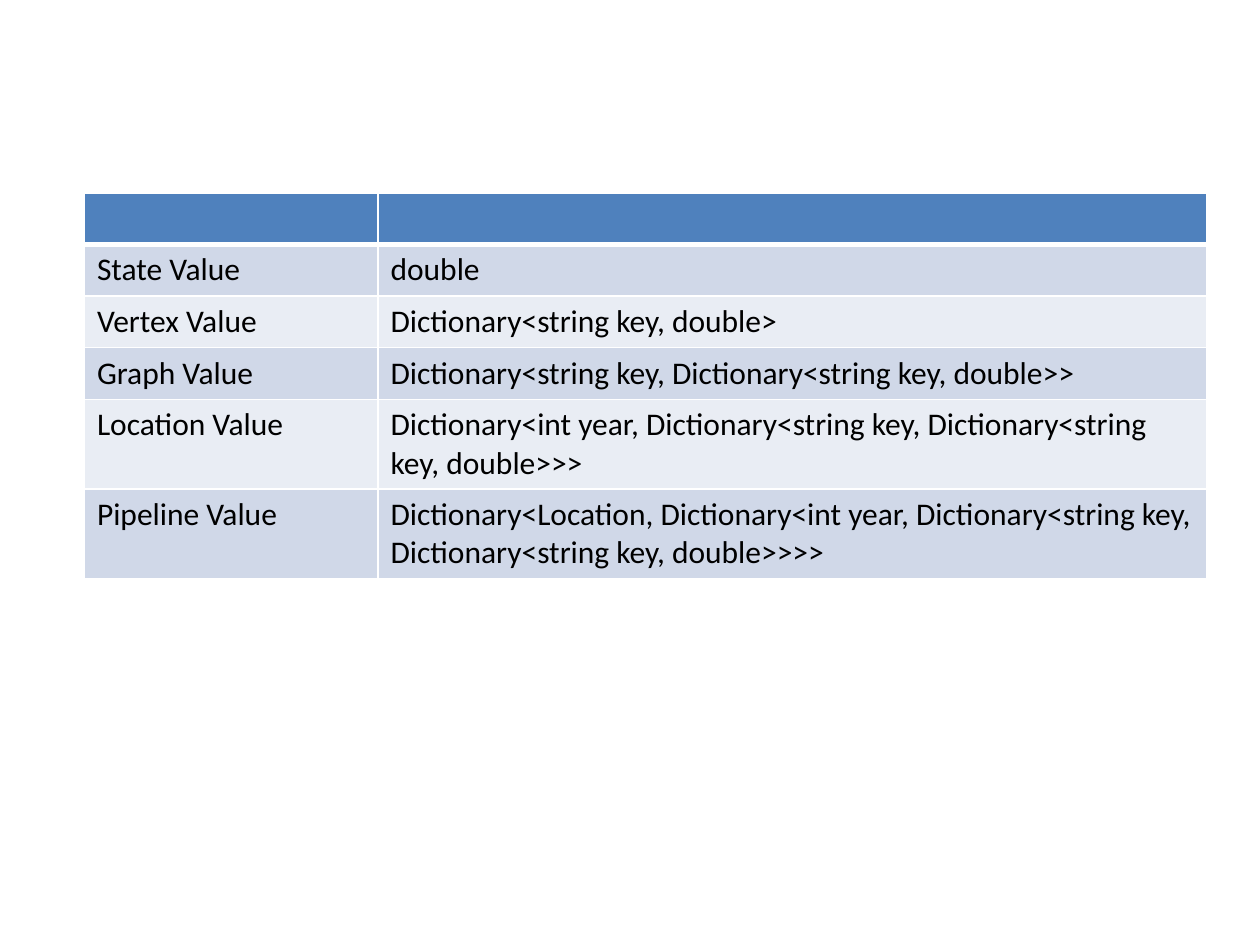
from lxml.etree import SubElement
from pptx import Presentation
from pptx.dml.color import RGBColor
from pptx.oxml.ns import qn
from pptx.util import Inches, Pt

# Content: value level and its data type
ROWS = [
    ("", ""),
    ("State Value", "double"),
    ("Vertex Value", "Dictionary<string key, double>"),
    ("Graph Value", "Dictionary<string key, Dictionary<string key, double>>"),
    ("Location Value",
     "Dictionary<int year, Dictionary<string key, Dictionary<string key, double>>>"),
    ("Pipeline Value",
     "Dictionary<Location, Dictionary<int year, "
     "Dictionary<string key, Dictionary<string key, double>>>>"),
]
HEADER_FILL = "4F81BD"
BAND_FILLS = ("E9EDF4", "D0D8E8")
BORDER = "FFFFFF"

# Grid, in inches
LEFT, TOP = 0.67, 1.53
COLUMN_WIDTHS = (2.33, 6.58)
LINE_HEIGHT, ROW_PADDING = 0.3, 0.11
LINE_CHARACTERS = 60


def color(value):
    return RGBColor.from_string(value)


def set_text(cell, text, size=18, font="Calibri", fill="000000", bold=False):
    paragraph = cell.text_frame.paragraphs[0]
    paragraph.font.size = Pt(size)
    if text:
        run = paragraph.add_run()
        run.text = text
        run.font.size, run.font.name, run.font.bold = Pt(size), font, bold
        run.font.color.rgb = color(fill)


def set_borders(cell, **widths):
    properties = cell._tc.get_or_add_tcPr()
    for side in "LRTB":
        line = SubElement(properties, qn(f"a:ln{side}"), w=str(Pt(widths.get(side, 1))))
        solid = SubElement(line, qn("a:solidFill"))
        SubElement(solid, qn("a:srgbClr"), val=BORDER)


def row_height(texts):
    lines = 2 if max(map(len, texts)) > LINE_CHARACTERS else 1
    return ROW_PADDING + lines * LINE_HEIGHT


presentation = Presentation()
presentation.slide_width, presentation.slide_height = Inches(10), Inches(7.5)
slide = presentation.slides.add_slide(presentation.slide_layouts[6])

# Table of value types
heights = [row_height(texts) for texts in ROWS]
table = slide.shapes.add_table(
    len(ROWS), len(COLUMN_WIDTHS), Inches(LEFT), Inches(TOP),
    Inches(sum(COLUMN_WIDTHS)), Inches(sum(heights))).table
for column, width in zip(table.columns, COLUMN_WIDTHS):
    column.width = Inches(width)

for index, (texts, height) in enumerate(zip(ROWS, heights)):
    table.rows[index].height = Inches(height)
    for cell, text in zip(table.rows[index].cells, texts):
        set_text(cell, text)
        set_borders(cell, B=3 if index == 0 else 1, T=3 if index == 1 else 1)
        cell.fill.solid()
        cell.fill.fore_color.rgb = color(BAND_FILLS[index % 2] if index else HEADER_FILL)

presentation.save("out.pptx")
